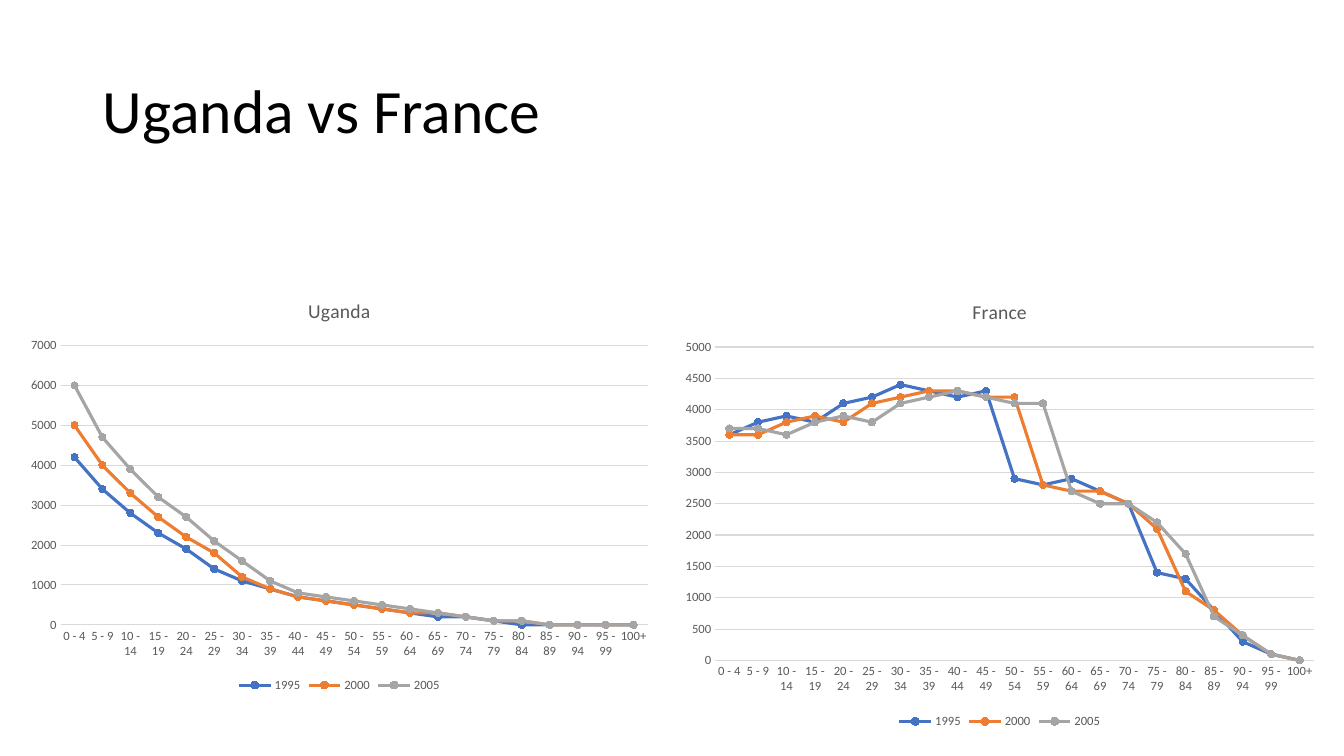
from pptx import Presentation
from pptx import util as u
from pptx.chart.data import CategoryChartData
from pptx.dml.color import RGBColor
from pptx.enum import chart as ch
from pptx.enum import text

AGE_GROUPS = [f"{age} - {age + 4}" for age in range(0, 100, 5)] + ["100+"]
UGANDA = {
    "1995": [4200, 3400, 2800, 2300, 1900, 1400, 1100, 900, 700, 600, 500,
             400, 300, 200, 200, 100, 0, 0, 0, 0, 0],
    "2000": [5000, 4000, 3300, 2700, 2200, 1800, 1200, 900, 700, 600, 500,
             400, 300, 300, 200, 100, 100, 0, 0, 0, 0],
    "2005": [6000, 4700, 3900, 3200, 2700, 2100, 1600, 1100, 800, 700, 600,
             500, 400, 300, 200, 100, 100, 0, 0, 0, 0],
}
FRANCE = {
    "1995": [3600, 3800, 3900, 3800, 4100, 4200, 4400, 4300, 4200, 4300, 2900,
             2800, 2900, 2700, 2500, 1400, 1300, 800, 300, 100, 0],
    "2000": [3600, 3600, 3800, 3900, 3800, 4100, 4200, 4300, 4300, 4200, 4200,
             2800, 2700, 2700, 2500, 2100, 1100, 800, 400, 100, 0],
    "2005": [3700, 3700, 3600, 3800, 3900, 3800, 4100, 4200, 4300, 4200, 4100,
             4100, 2700, 2500, 2500, 2200, 1700, 700, 400, 100, 0],
}


def rgb(hex_colour):
    return RGBColor.from_string(hex_colour)


def apply(target, formats):
    for name, value in formats.items():
        setattr(target, name, value)


class PopulationSlide:
    FONT, INK, LABEL, GRID = "Calibri", "000000", "595959", "D9D9D9"
    YEAR_COLOURS = ("4472C4", "ED7D31", "A5A5A5")

    def __init__(self, deck):
        self.deck = deck
        self.slide = deck.slides.add_slide(deck.slide_layouts[5])

    def box(self, left, top, width, height):
        """Turn percentages of the slide into lengths."""
        across, down = self.deck.slide_width, self.deck.slide_height
        return [u.Emu(round(share * side / 100)) for share, side in
                zip((left, top, width, height), (across, down, across, down))]

    def style_font(self, font, size, colour):
        apply(font, {"name": self.FONT, "size": u.Pt(size), "bold": False})
        font.color.rgb = rgb(colour)

    def style_line(self, line, colour, width):
        line.color.rgb = rgb(colour)
        line.width = u.Pt(width)

    def title(self, wording, *place):
        heading = self.slide.shapes.title
        apply(heading, dict(zip(("left", "top", "width", "height"), self.box(*place))))
        heading.text_frame.text = wording
        apply(heading.text_frame, {"vertical_anchor": text.MSO_ANCHOR.MIDDLE,
                                   "word_wrap": True})
        paragraph = heading.text_frame.paragraphs[0]
        apply(paragraph, {"alignment": text.PP_ALIGN.LEFT, "line_spacing": 0.9})
        self.style_font(paragraph.runs[0].font, 44, self.INK)

    def line_chart(self, country, population, top_value, step, *place):
        data = CategoryChartData(number_format="General")
        data.categories = AGE_GROUPS
        for year, values in population.items():
            data.add_series(year, values)
        chart = self.slide.shapes.add_chart(
            ch.XL_CHART_TYPE.LINE_MARKERS, *self.box(*place), data).chart
        self.style_font(chart.font, 10, self.INK)

        chart.has_title = True
        chart.chart_title.text_frame.text = country
        chart.chart_title.include_in_layout = False
        country_run = chart.chart_title.text_frame.paragraphs[0].runs[0]
        self.style_font(country_run.font, 14, self.LABEL)

        chart.has_legend = True
        apply(chart.legend, {"position": ch.XL_LEGEND_POSITION.BOTTOM,
                             "include_in_layout": False})
        self.style_font(chart.legend.font, 9, self.LABEL)
        self.axes(chart, top_value, step)

        chart.plots[0].vary_by_categories = False
        for series, colour in zip(chart.plots[0].series, self.YEAR_COLOURS):
            series.smooth = False
            self.style_line(series.format.line, colour, 2.25)
            apply(series.marker, {"style": ch.XL_MARKER_STYLE.CIRCLE, "size": 5})
            series.marker.format.fill.solid()
            series.marker.format.fill.fore_color.rgb = rgb(colour)
            self.style_line(series.marker.format.line, colour, 0.75)

    def axes(self, chart, top_value, step):
        ages, people = chart.category_axis, chart.value_axis
        for axis in (ages, people):
            apply(axis, {"major_tick_mark": ch.XL_TICK_MARK.NONE,
                         "minor_tick_mark": ch.XL_TICK_MARK.NONE})
            self.style_font(axis.tick_labels.font, 9, self.LABEL)
        self.style_line(ages.format.line, self.GRID, 0.75)
        apply(people, {"minimum_scale": 0, "maximum_scale": top_value,
                       "major_unit": step, "has_major_gridlines": True})
        people.format.line.fill.background()
        self.style_line(people.major_gridlines.format.line, self.GRID, 0.75)


def main():
    deck = Presentation()
    deck.slide_width, deck.slide_height = u.Inches(13.33), u.Inches(7.5)
    comparison = PopulationSlide(deck)
    comparison.title("Uganda vs France", 6.9, 5.33, 86.27, 19.33)
    comparison.line_chart("Uganda", UGANDA, 7000, 1000, 1.35, 37.07, 47.79, 55.07)
    comparison.line_chart("France", FRANCE, 5000, 500, 50.04, 37.07, 48.69, 59.87)
    deck.save("out.pptx")


if __name__ == "__main__":
    main()
